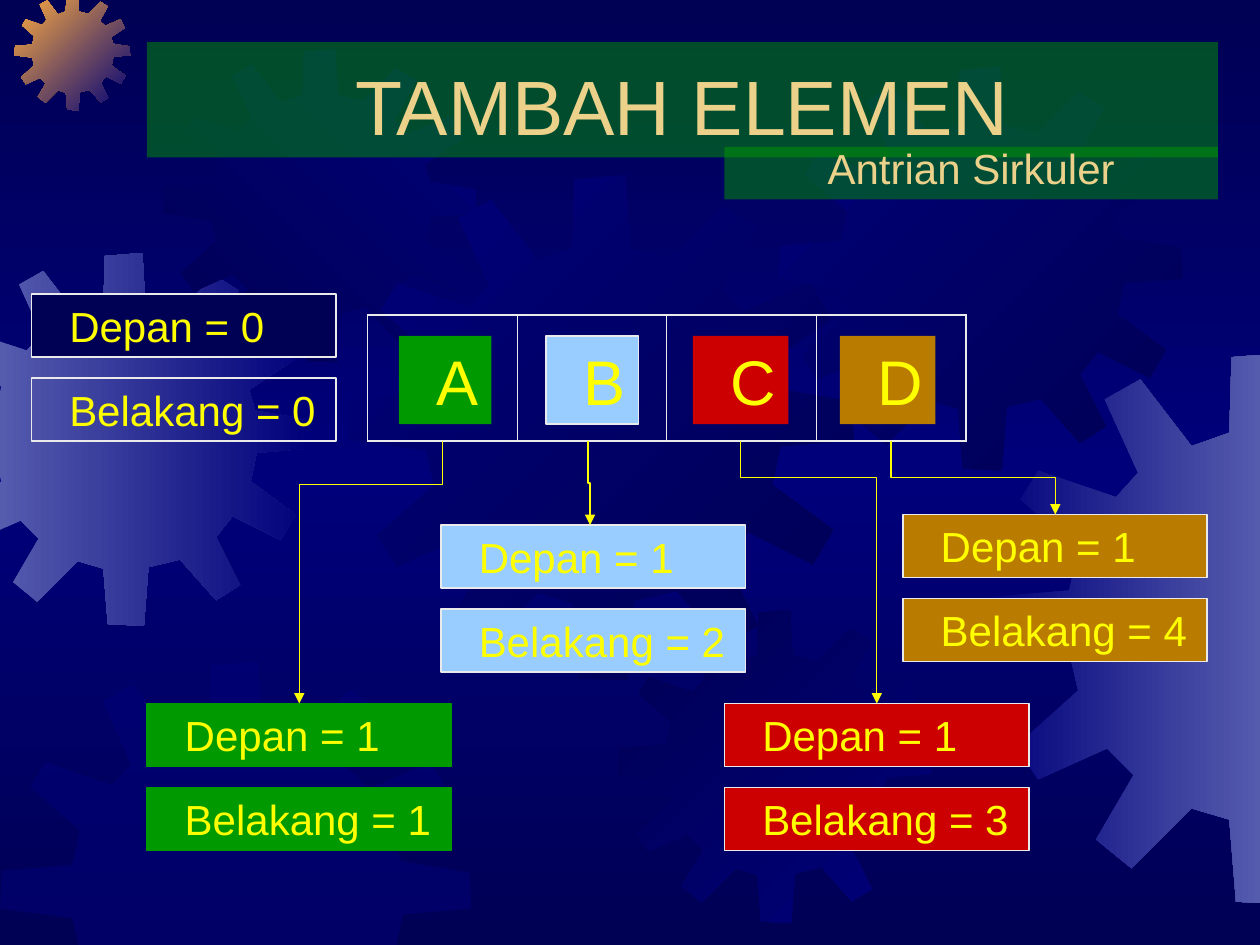
import pptx
import pptx.util
import pptx.dml.color
import pptx.enum.shapes
import pptx.enum.text
import pptx.oxml
import pptx.oxml.ns
import lxml.etree

UNIT = 76200  # one grid step: the slide is 120 columns by 90 rows
COLS, ROWS = 120, 90
FONT = "Arial"
HUE = {
    "navy": "000054", "blue": "00007A", "haze": "555BAD", "orange": "FCAB40",
    "green": "009900", "sky": "99CCFF", "red": "CC0000", "brown": "B97C01",
    "sand": "EBD189", "yellow": "FFFF00", "pale": "EAEAEA",
}
ALIGN = pptx.enum.text.PP_ALIGN
ANCHOR = pptx.enum.text.MSO_ANCHOR
qn = pptx.oxml.ns.qn

# Outline of a cogwheel in a square of side 248
SIDE = 248
TEETH = [
    (158, 41), (138, 36), (136, 0), (111, 2), (110, 36), (93, 42), (70, 12), (54, 21),
    (69, 54), (59, 65), (24, 53), (16, 66), (42, 89), (38, 107), (1, 110), (0, 130),
    (38, 135), (42, 152), (14, 177), (24, 192), (55, 178), (67, 190), (50, 219), (66, 232),
    (93, 205), (110, 210), (113, 247), (137, 248), (140, 209), (161, 204), (185, 231), (201, 221),
    (185, 189), (196, 175), (228, 191), (238, 174), (208, 152), (212, 133), (248, 130), (247, 111),
    (211, 105), (207, 91), (237, 71), (227, 53), (194, 67), (183, 56), (200, 25), (184, 15),
]
# left, top, side, colours, angle (clockwise)
GEARS = [
    (-5.9, 24.1, 35.5, ("haze", "blue"), 0),
    (1.4, -0.5, 11, ("orange", "blue"), 45),
    (15.6, 4.7, 29.8, ("navy", "blue"), 315),
    (33.2, 16.7, 48.1, ("blue", "navy"), 45),
    (0, 63, 44.9, ("blue",), 0),
    (58.9, 58.1, 29.8, ("navy", "blue"), 45),
    (74.2, 6.4, 38.4, ("blue", "navy"), 45),
    (93.8, 33.6, 52.5, ("blue", "haze"), 0),
]
# letter, width, fill, line
CELLS = [("A", 8.8, "green", None), ("B", 8.8, "sky", "pale"),
         ("C", 9.1, "red", None), ("D", 9.1, "brown", None)]
# left, top, rear index, front index, fill, line
STATES = [
    (3, 28, 0, 0, "navy", "pale"), (14, 67, 1, 1, "green", "green"),
    (42, 50, 2, 1, "sky", "pale"), (69, 67, 3, 1, "red", "pale"),
    (86, 49, 4, 1, "brown", "pale"),
]
# start column, end column, end row, share of the height where it bends
LINKS = [(70.55, 83.5, 67, 0.139), (42.15, 28.5, 67, 0.167),
         (56, 56.2, 50, 0.5), (84.85, 100.5, 49, 0.5)]


def grid(*steps):
    return [pptx.util.Emu(round(step * UNIT)) for step in steps]


def rgb(name):
    return pptx.dml.color.RGBColor.from_string(HUE[name])


def add(root, tag, **attrs):
    return lxml.etree.SubElement(root, qn(tag), **attrs)


def blend(fill, root, names, turn):
    """Fill with evenly spaced colours; root is the element that holds the fill."""
    fill.gradient()
    fill.gradient_angle = -turn % 360
    stops = root.find(".//" + qn("a:gsLst"))
    for stop in list(stops):
        stops.remove(stop)
    for i, name in enumerate(names):
        stop = add(stops, "a:gs", pos=str(100000 * i // (len(names) - 1)))
        add(stop, "a:srgbClr", val=HUE[name])


def paint(shape, fill, line=None, width=1, clear=False):
    shape.shadow.inherit = False
    shape.fill.solid()
    shape.fill.fore_color.rgb = rgb(fill)
    if clear:
        color = shape._element.spPr.find(".//" + qn("a:srgbClr"))
        add(color, "a:alpha", val="50000")
    if line:
        shape.line.color.rgb = rgb(line)
        shape.line.width = pptx.util.Pt(width)
    else:
        shape.line.fill.background()


def write(shape, text, size=24, color="yellow", align=ALIGN.LEFT,
          anchor=ANCHOR.MIDDLE, left=0.3, wrap=True):
    frame = shape.text_frame
    frame.text = text
    frame.word_wrap = wrap
    frame.auto_size = pptx.enum.text.MSO_AUTO_SIZE.NONE
    frame.vertical_anchor = anchor
    frame.margin_left = pptx.util.Inches(left)
    para = frame.paragraphs[0]
    para.alignment = align
    para.font.name = FONT
    para.font.size = pptx.util.Pt(size)
    para.font.color.rgb = rgb(color)


def block(slide, *box):
    return slide.shapes.add_shape(pptx.enum.shapes.MSO_SHAPE.RECTANGLE, *grid(*box))


def clip(points, axis, edge, sign):
    """Keep the part of an outline on the inner side of one slide edge."""
    kept = []
    for a, b in zip(points[-1:] + points[:-1], points):
        da, db = sign * (a[axis] - edge), sign * (b[axis] - edge)
        if da * db < 0:
            share = da / (da - db)
            kept.append(tuple(p + share * (q - p) for p, q in zip(a, b)))
        if db >= 0:
            kept.append(b)
    return kept


def gear(slide, left, top, side, names, turn):
    points = [(left + x * side / SIDE, top + y * side / SIDE) for x, y in TEETH]
    for limit in ((0, 0, 1), (0, COLS, -1), (1, 0, 1), (1, ROWS, -1)):
        points = clip(points, *limit)
    points = [grid(*point) for point in points]
    form = slide.shapes.build_freeform(*points[0])
    form.add_line_segments(points[1:])
    shape = form.convert_to_shape()
    paint(shape, names[0], clear=len(names) == 1)
    if len(names) > 1:
        blend(shape.fill, shape._element.spPr, names, turn)


def header(slide, left, top, width, height):
    title = slide.shapes.title
    slide.shapes._spTree.append(title._element)  # in front of the gears
    title.left, title.top, title.width, title.height = grid(left, top, width, height)
    label = block(slide, left + width - 47, top + height - 1, 47, 5)
    for shape, text, size in ((title, "TAMBAH ELEMEN", 44), (label, "Antrian Sirkuler", 24)):
        if shape is label:
            paint(shape, "green", clear=True)
        else:
            shape.fill.solid()
            shape.fill.fore_color.rgb = rgb("green")
            add(shape._element.spPr.find(".//" + qn("a:srgbClr")), "a:alpha", val="50000")
        write(shape, text, size, "sand", ALIGN.CENTER, ANCHOR.BOTTOM, 0.1)


def queue(slide, left, top, width, height):
    # Letter tiles
    for i, (text, wide, fill, line) in enumerate(CELLS):
        tile = block(slide, left + 3 + 14 * i, top + 2, wide, 8.4)
        paint(tile, fill, line, 0.75)
        write(tile, text, 36, align=ALIGN.CENTER, wrap=False)
    # Empty cells with thin inner and thick outer borders
    count = len(CELLS)
    table = slide.shapes.add_table(1, count, *grid(left, top, width, height)).table
    table.first_row = table.horz_banding = False
    for i, cell in enumerate(table.rows[0].cells):
        props = cell._tc.get_or_add_tcPr()
        thick = {"L": i == 0, "R": i == count - 1, "T": True, "B": True}
        for side, outer in thick.items():
            edge = add(props, "a:ln" + side, w=str(pptx.util.Pt(1.08 if outer else 0.45)))
            add(add(edge, "a:solidFill"), "a:srgbClr", val=HUE["pale"])
        cell.fill.background()


def state(slide, left, top, rear, front, fill, line):
    for i, text in enumerate((f"Depan = {front}", f"Belakang = {rear}")):
        box = block(slide, left, top + 8 * i, 29, 6)
        paint(box, fill, line)
        if rear == 0 and i == 1:
            box.fill.background()
        write(box, text)


def link(slide, start, end, top, low, bend):
    """Draw an arrow that runs down, across and down: an elbow turned a quarter."""
    tall, wide = low - top, abs(end - start)
    left, upper = (start + end - tall) / 2, (top + low - wide) / 2
    arrow = slide.shapes.add_connector(
        pptx.enum.shapes.MSO_CONNECTOR.ELBOW,
        *grid(left, upper, left + tall, upper + wide))
    arrow.line.color.rgb = rgb("yellow")
    arrow.line.width = pptx.util.Pt(0.75)
    props = arrow._element.spPr
    frame = props.find(qn("a:xfrm"))
    frame.set("rot", "16200000" if end > start else "5400000")
    if end > start:
        frame.set("flipH", "1")
    add(props.find(".//" + qn("a:avLst")), "a:gd", name="adj1",
        fmla=f"val {round(bend * 100000)}")
    add(props.find(qn("a:ln")), "a:tailEnd", type="triangle")
    add(props, "a:effectLst")


def main():
    deck = pptx.Presentation()
    deck.slide_width, deck.slide_height = grid(COLS, ROWS)
    slide = deck.slides.add_slide(deck.slide_layouts[5])
    blend(slide.background.fill, slide._element, ("navy", "blue", "navy"), 90)
    for item in GEARS:
        gear(slide, *item)
    header(slide, 14, 4, 102, 11)
    queue(slide, 35, 30, 57, 12)
    for item in STATES:
        state(slide, *item)
    for start, end, low, bend in LINKS:
        link(slide, start, end, 42, low, bend)
    deck.save("out.pptx")


if __name__ == "__main__":
    main()
